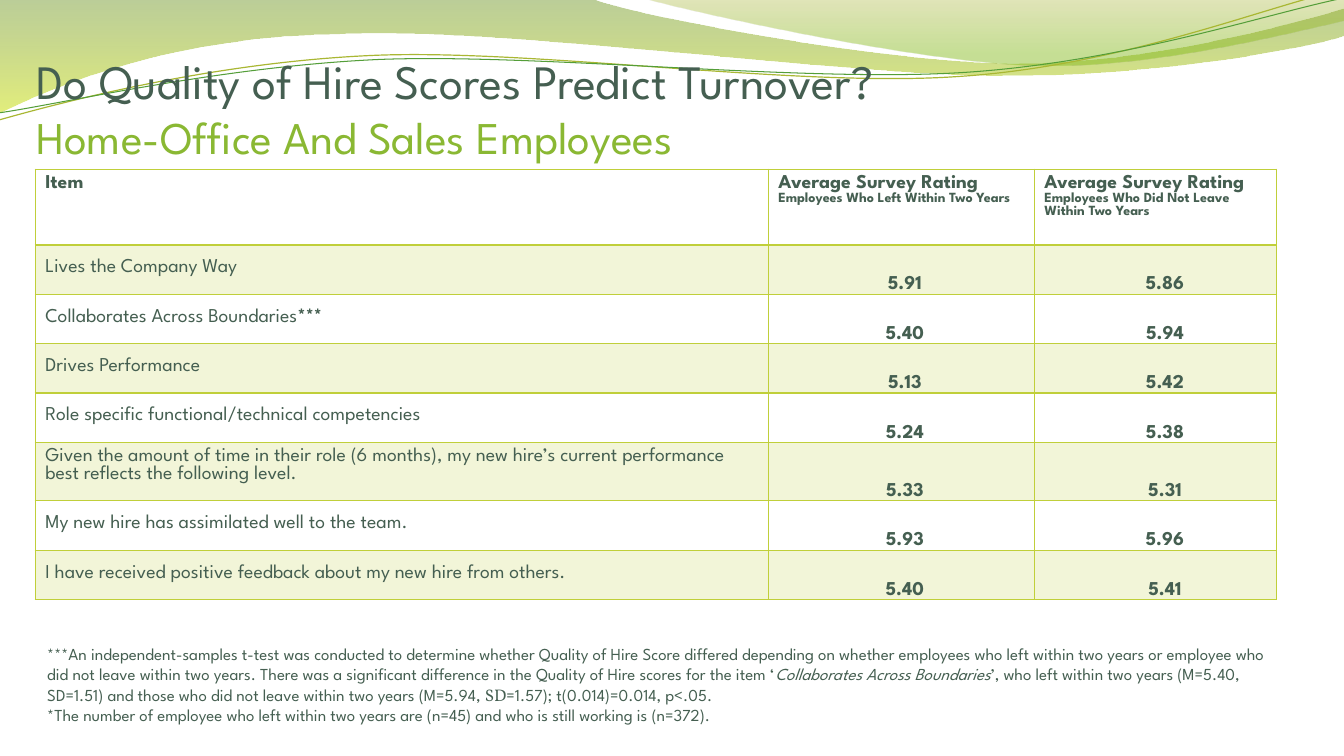
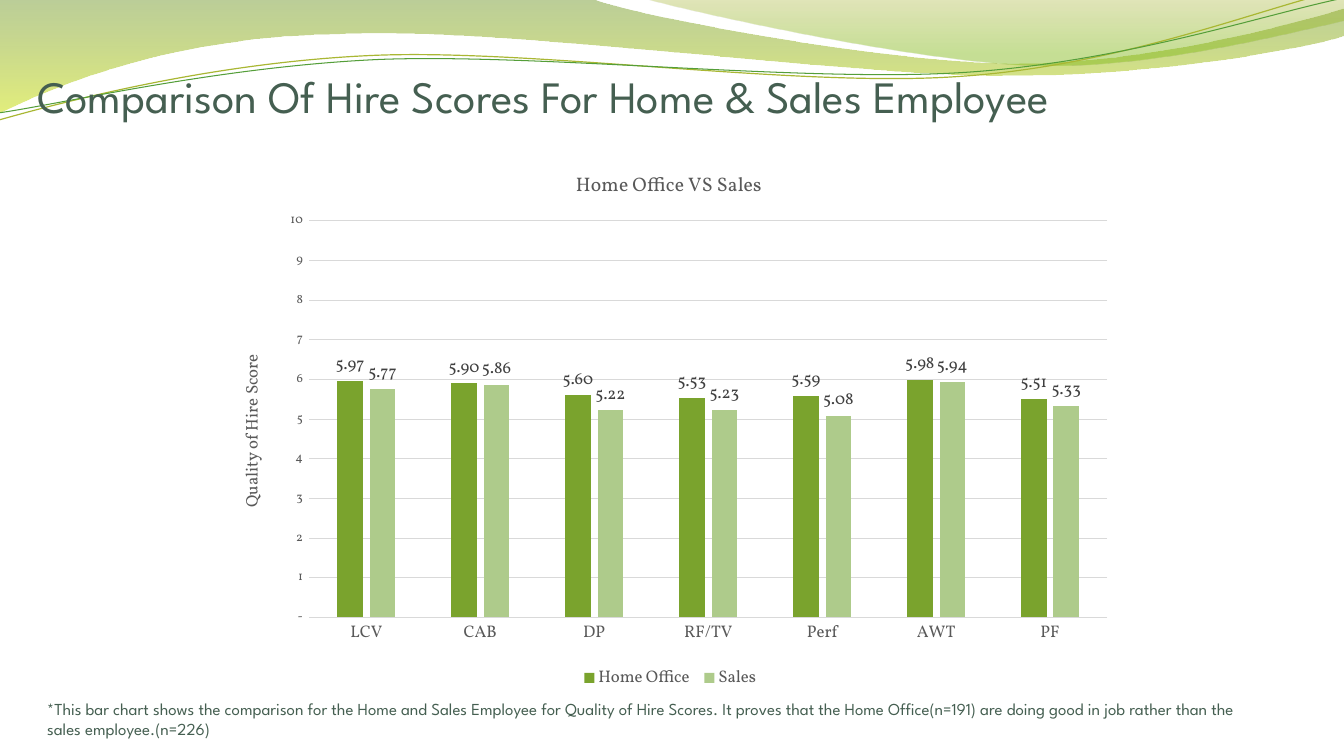
from lxml.etree import SubElement
from pptx import Presentation
from pptx.chart.data import CategoryChartData
from pptx.dml.color import RGBColor
from pptx.enum.chart import XL_CHART_TYPE, XL_LABEL_POSITION, XL_LEGEND_POSITION, XL_TICK_MARK
from pptx.enum.text import MSO_ANCHOR, MSO_AUTO_SIZE, PP_ALIGN
from pptx.oxml import parse_xml
from pptx.oxml.ns import nsdecls, qn
from pptx.util import Inches, Pt

SANS, SERIF = "League Spartan", "Vollkorn"
INK, LEAF, LIME, BAND = "455F51", "8AB833", "C0CF3A", "F2F5D8"
GRID, AXIS_TEXT, LABEL_TEXT = "D9D9D9", "595959", "404040"


def rgb(value):
    return RGBColor.from_string(value)


def style(font, size, color=INK, family=SANS, bold=False, italic=False):
    font.size, font.name, font.bold, font.italic = Pt(size), family, bold, italic
    font.color.rgb = rgb(color)


prs = Presentation()
prs.slide_width, prs.slide_height = Inches(13.33), Inches(7.5)
layout = prs.slide_layouts[5]
for placeholder in list(layout.placeholders)[1:]:
    placeholder.element.getparent().remove(placeholder.element)

# Title lines are (text, size, colour); note runs are (text, family, italic)
slide_texts = [
    {
        "title_box": (0.36, 0.37, 12.31, 1.25),
        "title": [("Do Quality of Hire Scores Predict Turnover?", 34.2, INK),
                  ("Home-Office And Sales Employees", 32.4, LEAF)],
        "note_box": (0.37, 6.34, 12.31, 1.41),
        "note": [
            [("***An independent-samples t-test was conducted to determine whether Quality of Hire "
              "Score differed depending on whether employees who left within two years or employee "
              "who did not leave within two years. There was a significant difference in the "
              "Quality of Hire scores for the item ‘", SANS, False),
             ("Collaborates Across Boundaries", SANS, True),
             ("’, who left within two years (M=5.40, SD=1.51) and those who did not leave within "
              "two years (M=5.94,", SANS, False),
             (" SD", SERIF, False),
             ("=1.57); t(0.014)=0.014, p<.05.", SANS, False)],
            [("*The number of employee who left within two years are (n=45) and who is still "
              "working is (n=372).", SANS, False)],
        ],
    },
    {
        "title_box": (0.37, 0.5, 12.58, 0.72),
        "title": [("Comparison Of Hire Scores For Home & Sales Employee", 32, INK)],
        "note_box": (0.37, 6.88, 12.03, 0.5),
        "note": [
            [("*This bar chart shows the comparison for the Home and Sales Employee for Quality of "
              "Hire Scores. It proves that the Home Office(n=191) are doing good in job rather "
              "than the sales employee.(n=226)", SANS, False)],
        ],
    },
]
slides = []
for texts in slide_texts:
    slide = prs.slides.add_slide(layout)
    slides.append(slide)
    title = slide.shapes.title
    title.left, title.top, title.width, title.height = map(Inches, texts["title_box"])
    frame = title.text_frame
    frame.auto_size, frame.vertical_anchor = MSO_AUTO_SIZE.NONE, MSO_ANCHOR.BOTTOM
    frame.word_wrap = True
    frame.margin_left = frame.margin_right = frame.margin_bottom = 0
    paragraph = frame.paragraphs[0]
    paragraph.alignment, paragraph.line_spacing = PP_ALIGN.LEFT, Pt(39)
    for index, (text, size, color) in enumerate(texts["title"]):
        if index:
            paragraph.add_line_break()
        run = paragraph.add_run()
        run.text = text
        style(run.font, size, color)

    frame = slide.shapes.add_textbox(*map(Inches, texts["note_box"])).text_frame
    frame.word_wrap = True
    for index, runs in enumerate(texts["note"]):
        paragraph = frame.add_paragraph() if index else frame.paragraphs[0]
        paragraph.line_spacing = Pt(14.4)
        for text, family, italic in runs:
            run = paragraph.add_run()
            run.text = text
            style(run.font, 12, family=family, italic=italic)

score_slide, comparison_slide = slides

# Waves: a start point, then cubic curves (three points) and straight lines (one point)
waves = [
    {"start": (0, 0),
     "segments": [[(5.87, -0.01)],
                  [(6.34, 0.17), (8.84, 0.63), (10.11, 0.63)],
                  [(11.37, 0.63), (12.77, 0.26), (13.33, 0.09)],
                  [(13.34, 0.36)],
                  [(13.11, 0.44), (11.59, 0.76), (9.94, 0.75)],
                  [(8.29, 0.75), (5.09, 0.28), (3.43, 0.34)],
                  [(1.72, 0.36), (0.61, 0.83), (-0.02, 1.13)],
                  [(0, 0)]],
     "stops": [(0, "69921C", 45), (1, "CCE10F", 55)]},
    {"start": (6.38, -0.01),
     "segments": [[(6.79, 0.11), (9.09, 0.62), (10.25, 0.65)],
                  [(11.4, 0.69), (12.82, 0.32), (13.33, 0.21)],
                  [(13.33, 0)],
                  [(6.38, -0.01)]],
     "stops": [(0, "9BAA1A", 30), (0.8, "81BA16", 45)]},
    {"start": (-0.01, 1.19),
     "segments": [[(0.63, 1.01), (2.1, 0.62), (3.69, 0.55)],
                  [(5.27, 0.48), (7.89, 0.87), (9.49, 0.76)],
                  [(11.1, 0.66), (12.51, 0.08), (13.3, -0.1)]],
     "line": ("A9B733", 0.85)},
    {"start": (-0.01, 1.12),
     "segments": [[(0.62, 1.03), (2.18, 0.66), (3.77, 0.59)],
                  [(5.37, 0.53), (7.96, 0.82), (9.55, 0.72)],
                  [(11.14, 0.62), (12.55, 0.14), (13.33, -0.02)]],
     "line": ("549E39", 0.75)},
]
wave_elements = []
for wave in waves:
    start_x, start_y = map(Inches, wave["start"])
    builder = score_slide.shapes.build_freeform(start_x, start_y, scale=1.0)
    ends = [segment[-1] for segment in wave["segments"]]
    builder.add_line_segments([(Inches(x), Inches(y)) for x, y in ends], close="stops" in wave)
    ribbon = builder.convert_to_shape()
    ribbon.shadow.inherit = False
    # Bend the straight pieces that have control points
    for piece, segment in zip(list(ribbon.element.iter(qn("a:lnTo"))), wave["segments"]):
        if len(segment) == 3:
            piece.tag = qn("a:cubicBezTo")
            for index, (x, y) in enumerate(segment[:2]):
                piece.insert(index, parse_xml(
                    f'<a:pt {nsdecls("a")} x="{Inches(x) - ribbon.left}" '
                    f'y="{Inches(y) - ribbon.top}"/>'))
    if "stops" in wave:
        ribbon.line.fill.background()
        ribbon.fill.gradient()
        ribbon.fill.gradient_angle = 270
        for stop, (position, color, _) in zip(ribbon.fill.gradient_stops, wave["stops"]):
            stop.position, stop.color.rgb = position, rgb(color)
        for tint, (_, _, opacity) in zip(ribbon.element.iter(qn("a:srgbClr")), wave["stops"]):
            SubElement(tint, qn("a:alpha"), val=str(opacity * 1000))
    else:
        color, width = wave["line"]
        ribbon.fill.background()
        ribbon.line.color.rgb, ribbon.line.width = rgb(color), Pt(width)
    wave_elements.append(ribbon.element)
# The layout carries the waves, behind its title
for index, element in enumerate(wave_elements):
    layout.shapes.element.insert(2 + index, element)

# Score table
headers = [
    [("Item", 14)],
    [("Average Survey Rating", 14), ("Employees Who Left Within Two Years", 10)],
    [("Average Survey Rating", 14), ("Employees Who Did Not Leave Within Two Years", 10)],
]
ratings = [
    ("Lives the Company Way", "5.91", "5.86"),
    ("Collaborates Across Boundaries***", "5.40", "5.94"),
    ("Drives Performance", "5.13", "5.42"),
    ("Role specific functional/technical competencies", "5.24", "5.38"),
    ("Given the amount of time in their role (6 months), my new hire’s current performance best "
     "reflects the following level.", "5.33", "5.31"),
    ("My new hire has assimilated well to the team.", "5.93", "5.96"),
    ("I have received positive feedback about my new hire from others.", "5.40", "5.41"),
]
LONG_ROW = 5
rows = [headers] + [[[(text, 14)] for text in rating] for rating in ratings]
row_heights = [0.75] + [0.49] * len(ratings)
row_heights[LONG_ROW] = 0.58
column_widths = (7.27, 2.64, 2.4)
table_frame = score_slide.shapes.add_table(
    len(rows), len(column_widths), Inches(0.35), Inches(1.68), Inches(sum(column_widths)),
    Inches(sum(row_heights)))
score_table = table_frame.table
score_table.first_row = score_table.horz_banding = False
for column, width in zip(score_table.columns, column_widths):
    column.width = Inches(width)
for r, row in enumerate(rows):
    score_table.rows[r].height = Inches(row_heights[r])
    for c, lines in enumerate(row):
        cell = score_table.cell(r, c)
        is_score = r > 0 and c > 0
        if r % 2:
            cell.fill.solid()
            cell.fill.fore_color.rgb = rgb(BAND)
        else:
            cell.fill.background()
        if is_score:
            cell.vertical_anchor = MSO_ANCHOR.BOTTOM
            cell.margin_left = Inches((0.07, 0.19)[c - 1])
            cell.margin_right = cell.margin_top = cell.margin_bottom = 0
        for index, (text, size) in enumerate(lines):
            frame = cell.text_frame
            paragraph = frame.add_paragraph() if index else frame.paragraphs[0]
            if is_score:
                paragraph.alignment = PP_ALIGN.CENTER
            elif r not in (0, LONG_ROW):
                paragraph.line_spacing = 1.5
            words = text.rstrip("*")
            for part, bold in ((words, r == 0 or is_score), (text[len(words):], True)):
                if part:
                    run = paragraph.add_run()
                    run.text = part
                    style(run.font, size, bold=bold)
for number, properties in enumerate(table_frame.element.iter(qn("a:tcPr"))):
    r = number // len(column_widths)
    edges = {"lnL": 1, "lnR": 1, "lnT": 2 if r == 1 else 1, "lnB": 2 if r == 0 else 1}
    for index, (edge, points) in enumerate(edges.items()):
        properties.insert(index, parse_xml(
            f'<a:{edge} {nsdecls("a")} w="{Pt(points)}"><a:solidFill>'
            f'<a:srgbClr val="{LIME}"/></a:solidFill></a:{edge}>'))

# Comparison chart
scores = CategoryChartData()
scores.categories = ["LCV", "CAB", "DP", "RF/TV", "Perf", "AWT", "PF"]
scores.add_series("Home Office ", (5.97, 5.9, 5.6, 5.53, 5.59, 5.98, 5.51))
scores.add_series("Sales ", (5.77, 5.86, 5.22, 5.23, 5.08, 5.94, 5.33))
chart = comparison_slide.shapes.add_chart(
    XL_CHART_TYPE.COLUMN_CLUSTERED, Inches(2.17), Inches(1.49), Inches(8.99), Inches(5.39),
    scores).chart
style(chart.font, 10, AXIS_TEXT, SERIF)

category_axis, value_axis = chart.category_axis, chart.value_axis
chart.has_title = value_axis.has_title = True
for heading, text, size in ((chart.chart_title, "Home Office VS Sales", 14),
                            (value_axis.axis_title, "Quality of Hire Score", 12)):
    run = heading.text_frame.paragraphs[0].add_run()
    run.text = text
    style(run.font, size, AXIS_TEXT, SERIF)

for axis, size in ((category_axis, 12), (value_axis, 9)):
    axis.major_tick_mark = axis.minor_tick_mark = XL_TICK_MARK.NONE
    style(axis.tick_labels.font, size, AXIS_TEXT, SERIF)
value_axis.minimum_scale, value_axis.maximum_scale, value_axis.major_unit = 0, 10, 1
value_axis.tick_labels.number_format = '#,##0_);(#,##0);"-"_)'
value_axis.tick_labels.number_format_is_linked = False
value_axis.format.line.fill.background()
for rule in (category_axis.format.line, value_axis.major_gridlines.format.line):
    rule.color.rgb, rule.width = rgb(GRID), Pt(0.75)

chart.has_legend = True
chart.legend.position, chart.legend.include_in_layout = XL_LEGEND_POSITION.BOTTOM, False
style(chart.legend.font, 12, AXIS_TEXT, SERIF)

plot = chart.plots[0]
plot.gap_width, plot.overlap, plot.vary_by_categories = 219, -27, False
for series, color in zip(plot.series, ("7AA32D", "AECB8B")):
    series.format.fill.solid()
    series.format.fill.fore_color.rgb = rgb(color)
    labels = series.data_labels
    labels.show_value, labels.position = True, XL_LABEL_POSITION.OUTSIDE_END
    labels.number_format, labels.number_format_is_linked = "0.00", False
    style(labels.font, 12, LABEL_TEXT, SERIF)

# Fixed places inside the chart, as fractions of its size
placements = [
    (".//c:plotArea", {"x": 0.1, "y": 0.13, "w": 0.88, "h": 0.73}),
    ("./c:chart/c:title", {"x": 0.39, "y": 0.03}),
    (".//c:valAx/c:title", {"x": 0.02, "y": 0.37}),
]
for query, fractions in placements:
    part = chart.element.xpath(query)[0]
    for old_layout in part.findall(qn("c:layout")):
        part.remove(old_layout)
    target = '<c:layoutTarget val="inner"/>' if "w" in fractions else ""
    modes = "".join(f'<c:{key}Mode val="edge"/>' for key in "xy")
    values = "".join(f'<c:{key} val="{value}"/>' for key, value in fractions.items())
    part.insert(0 if target else 1, parse_xml(
        f'<c:layout {nsdecls("c")}><c:manualLayout>{target}{modes}{values}'
        '</c:manualLayout></c:layout>'))
title_body = chart.element.xpath(".//c:valAx/c:title//a:bodyPr")[0]
title_body.set("rot", "-5400000")
title_body.set("vert", "horz")

prs.save("out.pptx")
